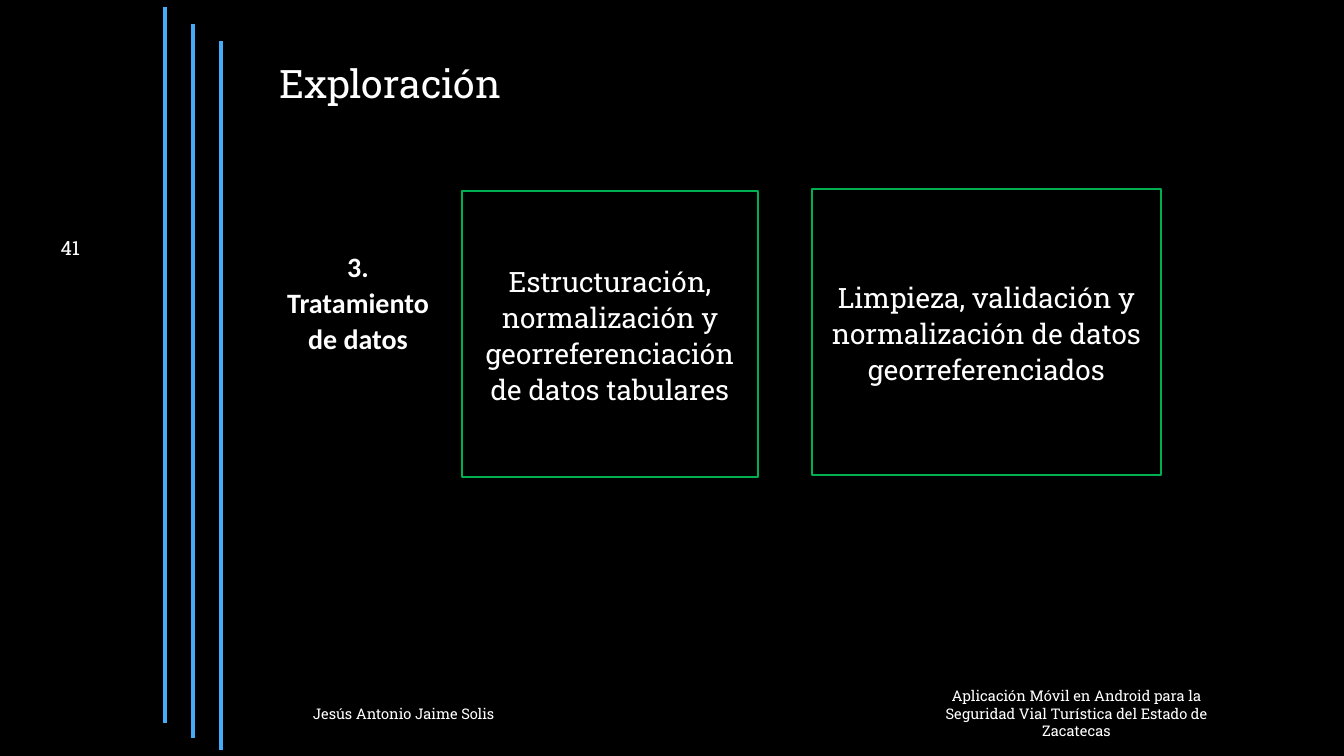
from pptx import Presentation
from pptx.dml.color import RGBColor
from pptx.enum.shapes import MSO_CONNECTOR, MSO_SHAPE
from pptx.enum.text import MSO_ANCHOR, MSO_AUTO_SIZE, PP_ALIGN
from pptx.oxml.ns import qn
from pptx.util import Pt
from lxml import etree

BLACK = RGBColor(0x00, 0x00, 0x00)
WHITE = RGBColor(0xFF, 0xFF, 0xFF)
BLUE = RGBColor(0x45, 0xAD, 0xF8)
GREEN = RGBColor(0x00, 0xB0, 0x50)
SLAB = "Roboto Slab"
SANS = "Calibri"
LEFT, CENTER, RIGHT = PP_ALIGN.LEFT, PP_ALIGN.CENTER, PP_ALIGN.RIGHT
TOP, MIDDLE = MSO_ANCHOR.TOP, MSO_ANCHOR.MIDDLE
NO_FIT = MSO_AUTO_SIZE.NONE
STRAIGHT = MSO_CONNECTOR.STRAIGHT
RECTANGLE = MSO_SHAPE.RECTANGLE
TITLE_ONLY = 5
EMU_PER_PX = 914400 / 100.8


def px(length):
    return round(length * EMU_PER_PX)


def write(shape, text, size, align=LEFT, anchor=TOP, font=SLAB, bold=False, spacing=None):
    frame = shape.text_frame
    frame.text = text
    frame.word_wrap = True
    frame.auto_size = NO_FIT
    frame.vertical_anchor = anchor
    for paragraph in frame.paragraphs:
        paragraph.alignment = align
        paragraph.line_spacing = spacing
        for run in paragraph.runs:
            run.font.name = font
            run.font.size = Pt(size)
            run.font.bold = bold
            run.font.color.rgb = WHITE
    return frame


def add_text(slide, box, text, size, **style):
    shape = slide.shapes.add_textbox(*map(px, box))
    return write(shape, text, size, **style)


def add_title(slide, box, text):
    title = slide.shapes.title
    title.left, title.top, title.width, title.height = map(px, box)
    write(title, text, 28, spacing=1.2)


def add_side_lines(slide, left, step, spans):
    for index, (top, bottom) in enumerate(spans):
        x = px(left + index * step)
        line = slide.shapes.add_connector(STRAIGHT, x, px(top), x, px(bottom))
        line.line.color.rgb = BLUE
        line.line.width = Pt(3)
        properties = line._element.find(qn("p:spPr"))
        etree.SubElement(properties, qn("a:effectLst"))


def add_step_box(slide, box, text):
    shape = slide.shapes.add_shape(RECTANGLE, *map(px, box))
    shape.shadow.inherit = False
    shape.fill.background()
    shape.line.color.rgb = GREEN
    shape.line.width = Pt(1.5)
    frame = write(shape, text, 20, align=CENTER, anchor=MIDDLE, spacing=1.07)
    frame.paragraphs[0].space_after = Pt(8)


def add_treatment(slide, left, top):
    label = add_text(slide, (left, top + 52, 222, 155), "3.\nTratamiento de datos", 20,
                     align=CENTER, font=SANS, bold=True, spacing=1.07)
    label.margin_left = px(60)
    add_step_box(slide, (left + 240, top + 1, 296, 286),
                 "Estructuración, normalización y georreferenciación de datos tabulares")
    add_step_box(slide, (left + 590, top - 1, 349, 286),
                 "Limpieza, validación y normalización de datos georreferenciados")


def add_footer(slide, left, top):
    add_text(slide, (left, top + 12, 600, 40), "Jesús Antonio Jaime Solis", 10.5, anchor=MIDDLE)
    add_text(slide, (left + 608, top, 331, 64),
             "Aplicación Móvil en Android para la Seguridad Vial Turística del Estado de Zacatecas",
             10.5, align=CENTER)


def main():
    presentation = Presentation()
    presentation.slide_width = px(1344)
    presentation.slide_height = px(756)
    slide = presentation.slides.add_slide(presentation.slide_layouts[TITLE_ONLY])
    slide.background.fill.solid()
    slide.background.fill.fore_color.rgb = BLACK

    add_title(slide, (269, 45, 860, 446), "Exploración")
    add_side_lines(slide, 165, 28, [(7, 723), (24, 738), (41, 750)])
    add_text(slide, (7, 228, 83, 40), "41", 14, align=RIGHT, anchor=MIDDLE)
    add_treatment(slide, 222, 190)
    add_footer(slide, 303, 682)
    presentation.save("out.pptx")


if __name__ == "__main__":
    main()
